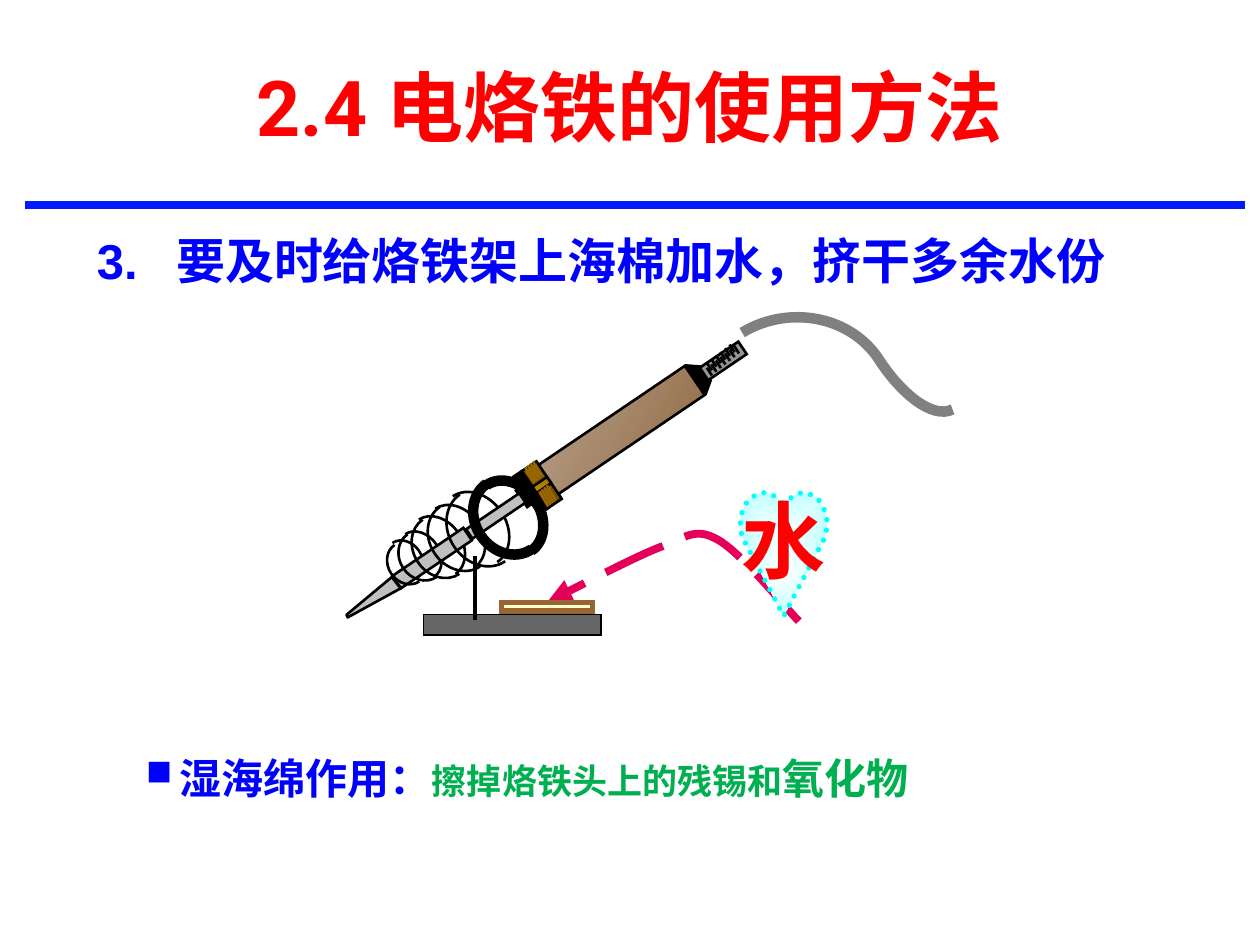
import math

import pptx
import pptx.dml.color
import pptx.enum.dml
import pptx.enum.shapes
import pptx.enum.text
import pptx.oxml
import pptx.oxml.ns
import pptx.util
from pptx.util import Inches

COLORS = {
    "title": "FF0000", "rule": "0019FF", "text": "0000FF", "answer": "00B050",
    "outline": "000000", "metal": "C0C0C0", "spring": "969696", "cord": "808080",
    "handle_light": "B8A28C", "handle_dark": "906842",
    "collar": "996600", "collar_dark": "6D4900",
    "band": "CC9900", "band_dark": "926D00",
    "base": "666666", "sponge": "FFFFCC", "sponge_edge": "996633",
    "flow": "E40059", "drop_light": "FFFFFF", "drop": "C1FFFF", "drop_edge": "00FFFF",
}
TILT = 55.9
ALONG = (math.sin(math.radians(TILT)), -math.cos(math.radians(TILT)))
ACROSS = (math.cos(math.radians(TILT)), math.sin(math.radians(TILT)))
ROUNDNESS = 0.55
THIN = 1.5
THICK = 6


def rgb(name):
    return pptx.dml.color.RGBColor.from_string(COLORS[name])


def drawing_element(tag, **attributes):
    element = pptx.oxml.parse_xml(f"<a:{tag} {pptx.oxml.ns.nsdecls('a')}/>")
    for key, value in attributes.items():
        element.set(key, value)
    return element


def style(shape, fill, line, weight):
    shape.shadow.inherit = False
    if fill is None:
        shape.fill.background()
    elif isinstance(fill, tuple):
        shape.fill.gradient()
        shape.fill.gradient_angle = 30
        for stop, position, name in zip(shape.fill.gradient_stops, (0, 1), fill):
            stop.position = position
            stop.color.rgb = rgb(name)
    else:
        shape.fill.solid()
        shape.fill.fore_color.rgb = rgb(fill)
    shape.line.color.rgb = rgb(line)
    shape.line.width = pptx.util.Pt(weight)
    return shape


def add_block(slide, box, part, fill, line="outline", weight=THIN, tilt=0):
    left, top, width, height = part
    block = slide.shapes.add_shape(
        pptx.enum.shapes.MSO_SHAPE.RECTANGLE, Inches(box[0] + left),
        Inches(box[1] + top), Inches(width), Inches(height))
    block.rotation = tilt
    style(block, fill, line, weight)
    block.line._get_or_add_ln().append(drawing_element("miter", lim="800000"))


def add_outline(slide, box, points, fill=None, line="outline", weight=THIN, close=False):
    spots = [(Inches(box[0] + x), Inches(box[1] + y)) for x, y in points]
    builder = slide.shapes.build_freeform(*spots[0], scale=1.0)
    builder.add_line_segments(spots[1:], close=close)
    return style(builder.convert_to_shape(), fill, line, weight)


def add_curve(slide, box, points, straight=(), **look):
    outline = add_outline(slide, box, points, **look)
    segments = list(outline._element.iter(pptx.oxml.ns.qn("a:lnTo")))
    curved = [s for index, s in enumerate(segments) if index not in straight]
    for index in range(0, len(curved), 3):
        curve = drawing_element("cubicBezTo")
        curved[index].addprevious(curve)
        for segment in curved[index:index + 3]:
            curve.append(segment[0])
            segment.getparent().remove(segment)
    return outline


def add_stroke(slide, box, start, end, line="outline", weight=THIN):
    stroke = slide.shapes.add_connector(
        pptx.enum.shapes.MSO_CONNECTOR.STRAIGHT,
        Inches(box[0] + start[0]), Inches(box[1] + start[1]),
        Inches(box[0] + end[0]), Inches(box[1] + end[1]))
    stroke.line.color.rgb = rgb(line)
    stroke.line.width = pptx.util.Pt(weight)
    stroke._element.spPr.append(drawing_element("effectLst"))


def add_hatching(slide, box, start, step, reach, count, line):
    for index in range(count):
        x, y = start[0] + index * step[0], start[1] + index * step[1]
        add_stroke(slide, box, (x, y), (x + reach[0], y + reach[1]), line)


def add_text(slide, box):
    frame = slide.shapes.add_textbox(*map(Inches, box)).text_frame
    frame.word_wrap = True
    return frame


def set_font(font, size, color, name="Arial"):
    font.name = name
    font.size = pptx.util.Pt(size)
    font.bold = True
    font.color.rgb = rgb(color)


def hang(paragraph, width):
    properties = paragraph._p.get_or_add_pPr()
    properties.set("marL", str(Inches(width)))
    properties.set("indent", str(-Inches(width)))
    return properties


def draw_title(slide, box):
    frame = add_text(slide, box)
    frame.vertical_anchor = pptx.enum.text.MSO_ANCHOR.MIDDLE
    title = frame.paragraphs[0]
    title.text = "2.4 电烙铁的使用方法"
    title.alignment = pptx.enum.text.PP_ALIGN.CENTER
    set_font(title.font, 44, "title", "Roboto")


def draw_step(slide, box):
    step = add_text(slide, box).paragraphs[0]
    hang(step, 0.63)
    step.text = "3.\t要及时给烙铁架上海棉加水，挤干多余水份"
    set_font(step.font, 28, "text")


def draw_purpose(slide, box):
    purpose = add_text(slide, box).paragraphs[0]
    properties = hang(purpose, 0.27)
    properties.append(drawing_element("buSzPct", val="85000"))
    properties.append(drawing_element("buChar", char="■"))
    purpose.line_spacing = 1.5
    for words, size, color in (("湿海绵作用：", 24, "text"),
                               ("擦掉烙铁头上的残锡和", 20, "answer"),
                               ("氧化物", 24, "answer")):
        run = purpose.add_run()
        run.text = words
        set_font(run.font, size, color)


def draw_water(slide, box):
    flow = add_curve(slide, box, [
        (4.34, 2.93), (4.23, 2.82), (3.88, 2.38), (3.69, 2.28),
        (3.51, 2.18), (3.44, 2.27), (3.22, 2.35),
        (3, 2.44), (2.53, 2.69), (2.35, 2.77)], line="flow", weight=4.5)
    flow.line.dash_style = pptx.enum.dml.MSO_LINE.LONG_DASH
    flow.line._get_or_add_ln().append(drawing_element("tailEnd", type="triangle"))

    middle = 4.22
    right_half = [
        (middle, 2.01), (4.23, 1.99), (4.26, 1.96), (4.28, 1.95),
        (4.31, 1.92), (4.35, 1.91), (4.39, 1.91),
        (4.43, 1.92), (4.47, 1.94), (4.5, 1.97),
        (4.53, 2.01), (4.55, 2.06), (4.56, 2.1),
        (4.57, 2.16), (4.56, 2.21), (4.55, 2.26), (middle, 2.89)]
    left_half = [(2 * middle - x, y) for x, y in reversed(right_half[:-1])]
    drop = add_curve(slide, box, right_half + left_half, straight=(15, 16),
                     fill=("drop_light", "drop"), line="drop_edge", weight=3, close=True)
    drop.line.dash_style = pptx.enum.dml.MSO_LINE.ROUND_DOT
    drop.line._get_or_add_ln().set("cap", "rnd")
    gradient = drop._element.spPr.find(pptx.oxml.ns.qn("a:gradFill"))
    gradient.remove(gradient.find(pptx.oxml.ns.qn("a:lin")))
    spread = drawing_element("path", path="shape")
    spread.append(drawing_element("fillToRect", l="50000", t="50000", r="50000", b="50000"))
    gradient.append(spread)

    frame = drop.text_frame
    frame.word_wrap = False
    frame.vertical_anchor = pptx.enum.text.MSO_ANCHOR.MIDDLE
    frame.margin_left = frame.margin_right = frame.margin_top = 0
    frame.margin_bottom = Inches(0.25)
    water = frame.paragraphs[0]
    water.text = "水"
    water.alignment = pptx.enum.text.PP_ALIGN.CENTER
    set_font(water.font, 48, "title", "Times New Roman")


def draw_half_coils(slide, box, side, coils):
    k = ROUNDNESS
    quarter_turns = ((-1, 0), (-1, k), (-k, 1), (0, 1), (k, 1), (1, k), (1, 0))
    for x, y, width, depth, weight in coils:
        arc = []
        for across, along in quarter_turns:
            across, along = across * width / 2, along * side * depth
            arc.append((x + across * ACROSS[0] + along * ALONG[0],
                        y + across * ACROSS[1] + along * ALONG[1]))
        add_curve(slide, box, arc, weight=weight)


def draw_iron(slide, box):
    for cord in (((3.89, 0.64), (4.25, 0.42), (4.75, 0.5), (4.98, 0.86)),
                 ((5.56, 1.25), (5.4, 1.33), (5.15, 1.12), (4.98, 0.86))):
        add_curve(slide, box, cord, line="cord", weight=THICK)
    add_block(slide, box, (2.79, 0.71, 0.28, 1.41), ("handle_light", "handle_dark"), tilt=TILT)
    add_outline(slide, box, [(3.44, 0.9), (3.56, 0.91), (3.64, 1.02), (3.6, 1.13)],
                "outline", close=True)
    for part, fill in (((2.12, 1.78, 0.36, 0.14), ("collar", "collar_dark")),
                       ((2.03, 1.87, 0.36, 0.08), "outline"),
                       ((2.08, 1.92, 0.16, 0.05), "outline"),
                       ((1.89, 1.84, 0.09, 0.51), "metal"),
                       ((1.37, 2.09, 0.12, 0.68), "metal")):
        add_block(slide, box, part, fill, tilt=TILT)
    add_outline(slide, box, [(1.11, 2.58), (0.75, 2.88), (0.76, 2.9), (1.18, 2.67)],
                "metal", close=True)
    add_block(slide, box, (3.68, 0.68, 0.12, 0.37), "spring", tilt=TILT)
    for start, count in (((3.61, 0.92), 7), ((3.61, 0.88), 6)):
        add_hatching(slide, box, start, (0.036, -0.029), (0.04, 0.06), count, "outline")
    add_block(slide, box, (2.27, 1.78, 0.06, 0.14), ("band", "band_dark"), tilt=TILT)
    for start in ((2.17, 1.71), (2.28, 1.9)):
        add_hatching(slide, box, start, (0.02, -0.016), (0.07, 0.12), 4, "collar")


def draw_stand(slide, box):
    add_block(slide, box, (1.36, 2.88, 1.41, 0.16), "base", weight=0.75)
    add_stroke(slide, box, (1.77, 2.92), (1.77, 2.41), weight=2.25)
    add_block(slide, box, (1.98, 2.78, 0.72, 0.07), "sponge", "sponge_edge", 3)


def main():
    deck = pptx.Presentation()
    deck.slide_width, deck.slide_height = Inches(10), Inches(7.5)
    slide = deck.slides.add_slide(deck.slide_layouts[6])
    drawing = (2, 2)
    add_stroke(slide, (0.2, 1.63), (0, 0), (9.68, 0), "rule", 4.5)
    draw_step(slide, (0.67, 1.78, 8.62, 0.63))
    draw_purpose(slide, (1.06, 5.72, 7.72, 0.71))
    draw_title(slide, (0.5, 0.13, 9, 1.42))
    draw_water(slide, drawing)
    draw_half_coils(slide, drawing, 1, (
        (1.33, 2.41, 0.41, 0.16, THIN), (1.47, 2.34, 0.52, 0.2, THIN),
        (1.61, 2.27, 0.56, 0.22, THIN), (1.77, 2.2, 0.63, 0.25, THIN),
        (2.04, 2.11, 0.63, 0.25, THICK), (1.21, 2.45, 0.34, 0.14, THIN)))
    draw_iron(slide, drawing)
    draw_stand(slide, drawing)
    draw_half_coils(slide, drawing, -1, (
        (1.35, 2.41, 0.41, 0.18, THIN), (1.5, 2.34, 0.52, 0.22, THIN),
        (1.65, 2.26, 0.57, 0.24, THIN), (1.83, 2.19, 0.64, 0.27, THIN),
        (2.04, 2.1, 0.63, 0.27, THICK), (1.23, 2.47, 0.35, 0.15, THIN)))
    deck.save("out.pptx")


if __name__ == "__main__":
    main()
